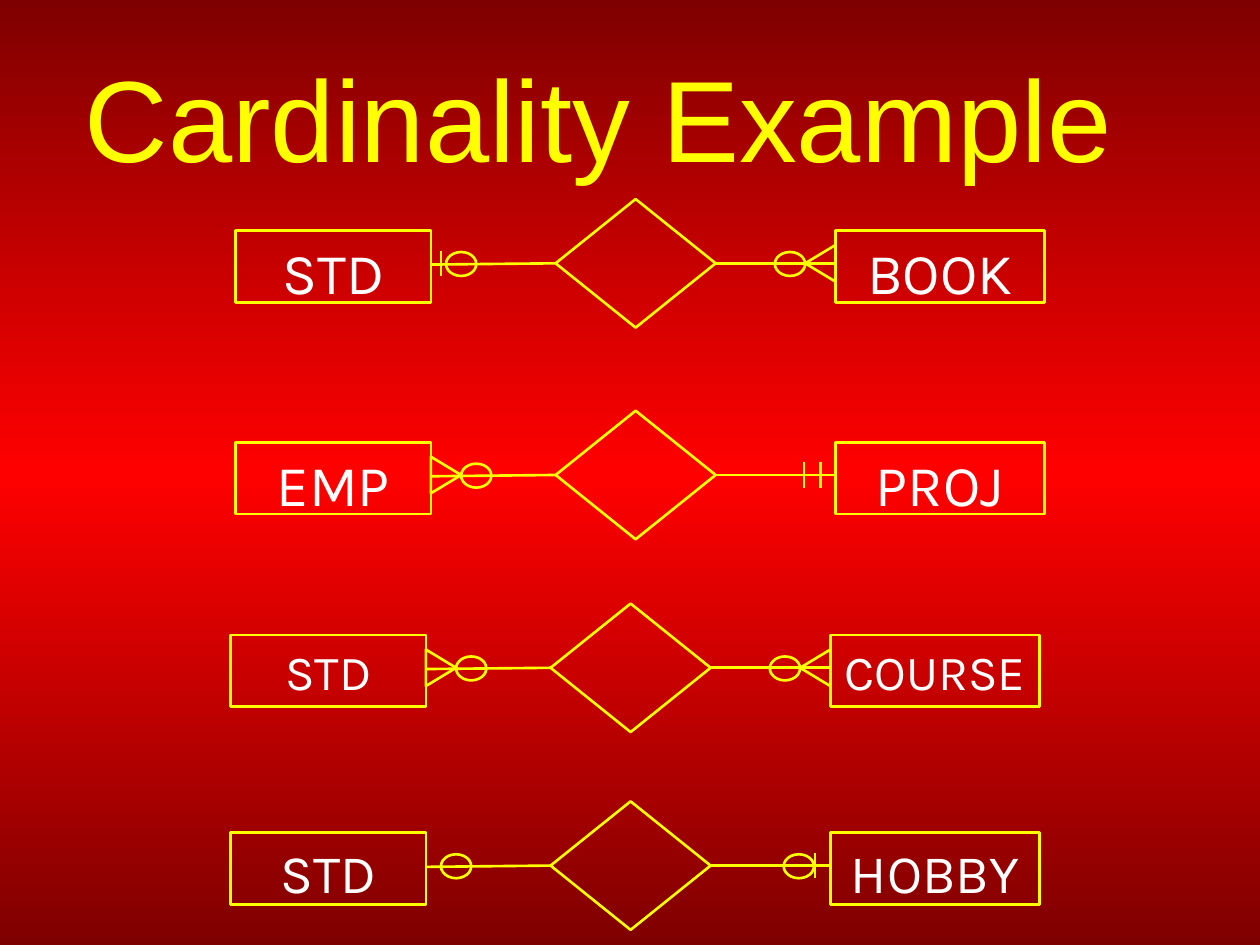
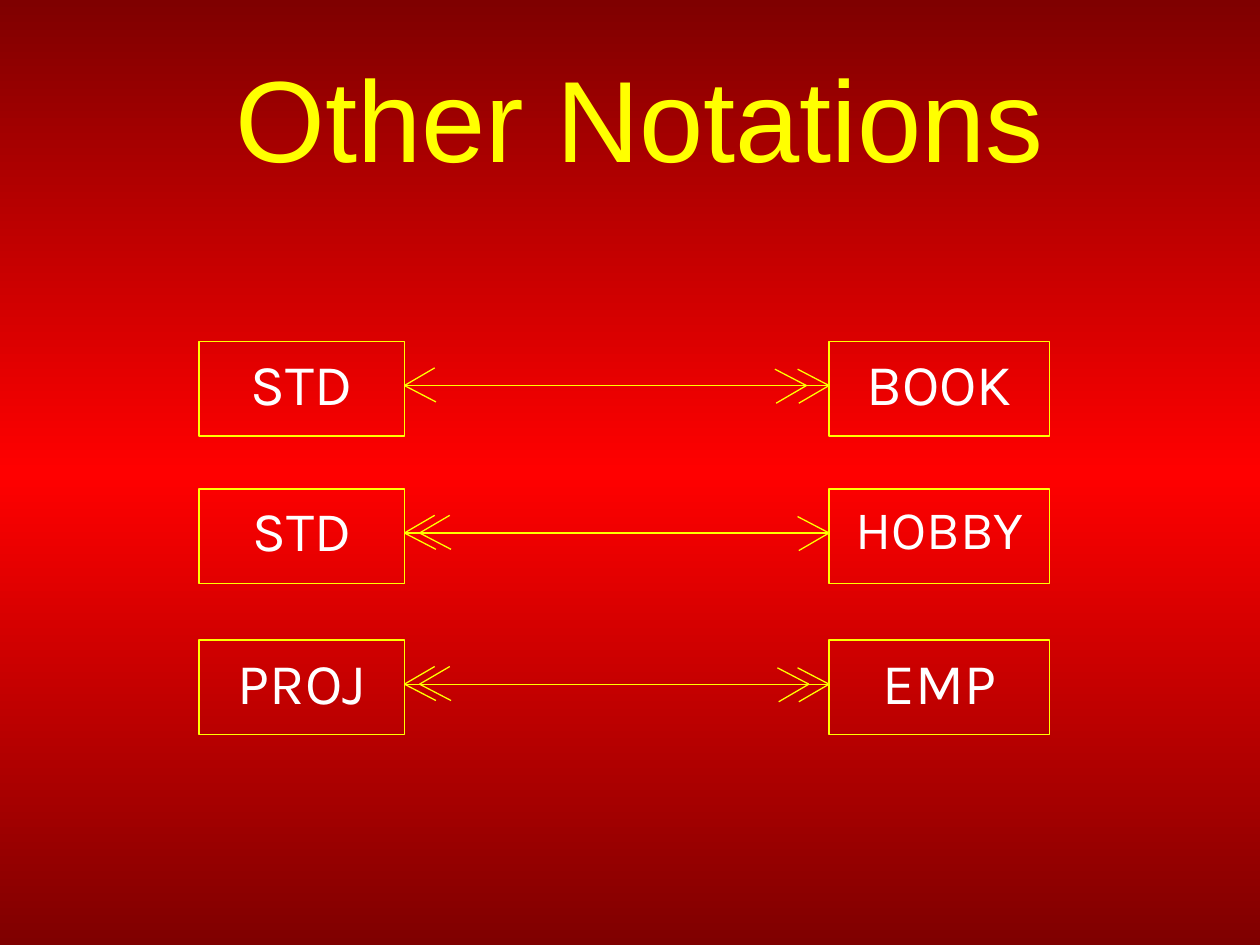
from copy import deepcopy

from pptx import Presentation
from pptx.dml.color import RGBColor
from pptx.enum.shapes import MSO_CONNECTOR as LINE, MSO_SHAPE as SHAPE
from pptx.enum.text import MSO_ANCHOR as ANCHOR, PP_ALIGN as ALIGN
from pptx.oxml.ns import qn
from pptx.oxml.xmlchemy import OxmlElement
from pptx.util import Inches, Pt

# Shared look
YELLOW, WHITE = "FFFF00", "FFFFFF"
DARK_RED, RED = "7F0000", "FF0000"
TITLE_FONT, BODY_FONT = "Arial", "Karla"
THICK, THIN = 1.5, 0.75


def color(value):
    return RGBColor.from_string(value)


def paint_background(master):
    """Vertical gradient, dark at top and bottom."""
    fill = master.background.fill
    fill.gradient()
    fill.gradient_angle = 270
    stop_list = master.element.find(".//" + qn("a:gsLst"))
    stop_list.append(deepcopy(stop_list[-1]))
    for stop, position, value in zip(
            fill.gradient_stops, (0, 0.5, 1), (DARK_RED, RED, DARK_RED)):
        stop.position = position
        stop.color.rgb = color(value)


def write(box, text, size, font=BODY_FONT, ink=WHITE, anchor=ANCHOR.TOP):
    frame = box.text_frame
    frame.word_wrap = True
    frame.vertical_anchor = anchor
    para = frame.paragraphs[0]
    para.alignment = ALIGN.CENTER
    span = para.add_run()
    span.text = text
    span.font.size = Pt(size)
    span.font.name = font
    span.font.color.rgb = color(ink)


def add_title(page, text, left):
    box = page.shapes.add_textbox(
        Inches(left), Inches(0.3), Inches(9.5), Inches(1.25))
    write(box, text, 66, font=TITLE_FONT, ink=YELLOW, anchor=ANCHOR.MIDDLE)


def outline(group, kind, left, top, width, height, weight):
    shape = group.shapes.add_shape(
        kind, Inches(left), Inches(top), Inches(width), Inches(height))
    shape.shadow.inherit = False
    shape.fill.background()
    shape.line.color.rgb = color(YELLOW)
    shape.line.width = Pt(weight)
    return shape


def entity(group, text, size, left, top, width, height, weight):
    box = outline(group, SHAPE.RECTANGLE, left, top, width, height, weight)
    write(box, text, size)


def line(group, x1, y1, x2, y2, weight):
    connector = group.shapes.add_connector(
        LINE.STRAIGHT, Inches(x1), Inches(y1), Inches(x2), Inches(y2))
    connector.line.color.rgb = color(YELLOW)
    connector.line.width = Pt(weight)
    connector._element.spPr.append(OxmlElement("a:effectLst"))
    return connector


# Cardinality marks: x and y are the centre of the mark
def bar(group, x, y, side):
    line(group, x, y - 0.1, x, y + 0.1, THICK)


def ring(group, x, y, side):
    outline(group, SHAPE.OVAL, x - 0.12, y - 0.09, 0.24, 0.19, THICK)


def crow_foot(group, x, y, side):
    foot = outline(group, SHAPE.FLOWCHART_MERGE,
                   x - 0.145, y - 0.12, 0.29, 0.24, THICK)
    foot.rotation = 270 if side > 0 else 90


def relationship(page, left, top, size, names, left_marks, right_marks):
    """Two entities joined through a diamond; marks sit near the entities."""
    group = page.shapes.add_group_shape()
    left_edge, right_edge, middle = left + 1.55, left + 4.76, top + 0.51
    entity(group, names[0], size, left, top + 0.25, 1.55, 0.57, THICK)
    entity(group, names[1], size, right_edge, top + 0.25, 1.66, 0.57, THICK)
    diamond = outline(group, SHAPE.DIAMOND, left + 2.54, top, 1.27, 1.02, THICK)
    line(group, left_edge, middle + 0.01, left + 2.54, middle,
         THICK).end_connect(diamond, 1)
    line(group, left + 3.81, middle, right_edge, middle,
         THICK).begin_connect(diamond, 3)
    for edge, side, marks in ((left_edge, 1, left_marks),
                              (right_edge, -1, right_marks)):
        for mark, distance in marks:
            mark(group, edge + side * distance, middle, side)


def arrow_pair(page, top, names, sizes, left_tips, right_tips):
    """Two entities joined by a line with one or two open heads at each end."""
    group = page.shapes.add_group_shape()
    left_edge, right_edge, middle = 3.21, 6.58, top + 0.35
    entity(group, names[0], sizes[0], 1.58, top, 1.63, 0.75, THIN)
    entity(group, names[1], sizes[1], right_edge, top, 1.75, 0.75, THIN)
    line(group, left_edge, middle, right_edge, middle, THIN)
    for edge, side, tips in ((left_edge, 1, left_tips),
                             (right_edge, -1, right_tips)):
        for distance in tips:
            tip = edge + side * distance
            line(group, tip, middle, tip + side * 0.25, middle + side * 0.13, THIN)
            line(group, tip, middle, tip + side * 0.24, middle - side * 0.14, THIN)


def cardinality_page(page):
    add_title(page, "Cardinality Example", 0)
    many = [(crow_foot, 0.12), (ring, 0.36)]
    relationship(page, 1.87, 1.58, 33, ("STD", "BOOK"),
                 [(bar, 0.08), (ring, 0.24)], many)
    relationship(page, 1.87, 3.26, 33, ("EMP", "PROJ"),
                 many, [(bar, 0.12), (bar, 0.25)])
    relationship(page, 1.83, 4.79, 28, ("STD", "COURSE"), many, many)
    relationship(page, 1.83, 6.36, 31, ("STD", "HOBBY"),
                 [(ring, 0.24)], [(bar, 0.12), (ring, 0.25)])


def notations_page(page):
    add_title(page, "Other Notations", 0.33)
    arrow_pair(page, 2.71, ("STD", "BOOK"), (33, 33), [0], [0, 0.18])
    arrow_pair(page, 3.88, ("STD", "HOBBY"), (32, 31), [0, 0.12], [0])
    arrow_pair(page, 5.08, ("PROJ", "EMP"), (33, 33), [0, 0.12], [0, 0.16])


def main():
    deck = Presentation()
    deck.slide_width, deck.slide_height = Inches(10), Inches(7.5)
    paint_background(deck.slide_master)
    for build in (cardinality_page, notations_page):
        build(deck.slides.add_slide(deck.slide_layouts[6]))
    deck.save("out.pptx")


if __name__ == "__main__":
    main()
